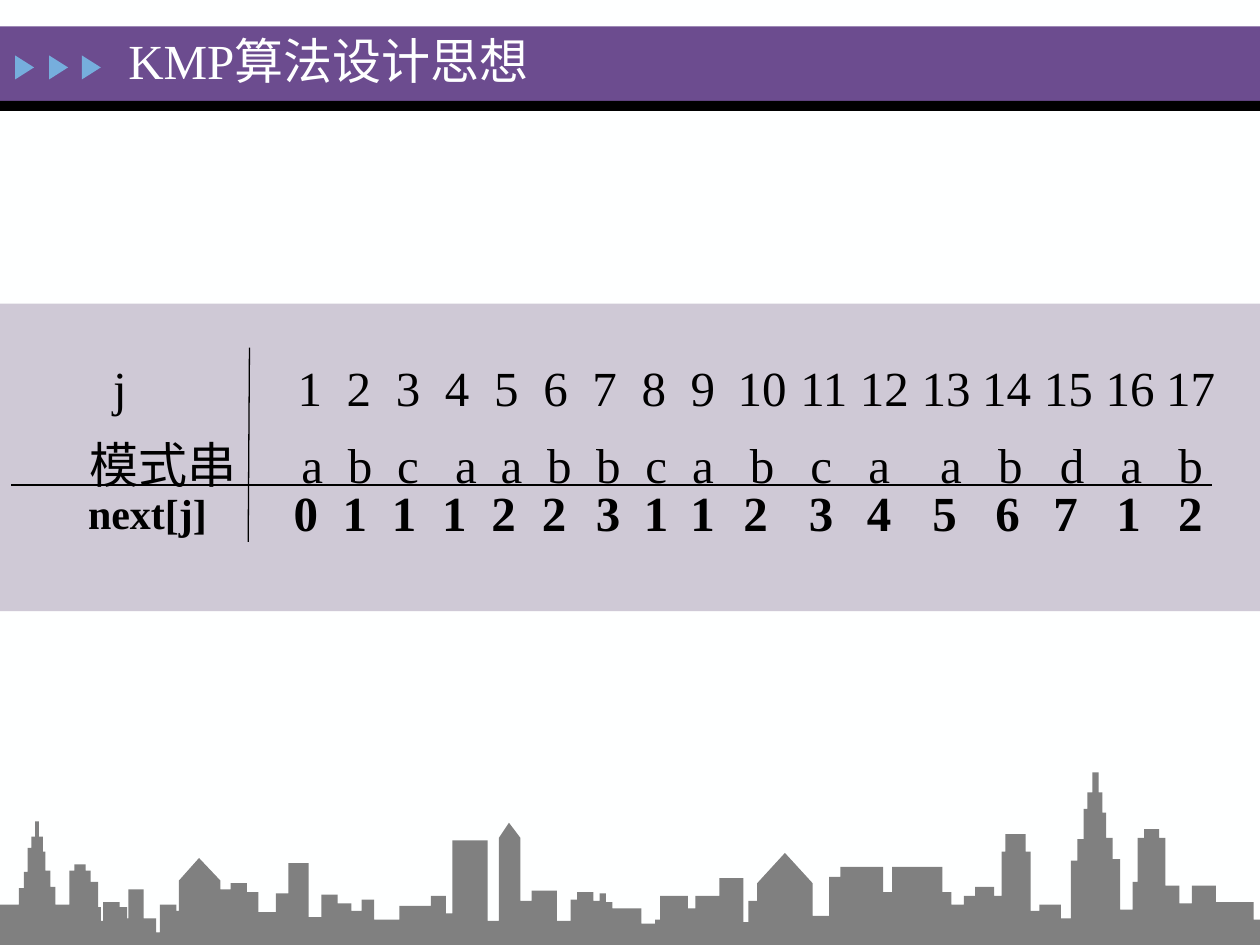
from pptx import Presentation
from pptx.dml.color import RGBColor
from pptx.enum.shapes import MSO_CONNECTOR, MSO_SHAPE
from pptx.enum.text import MSO_ANCHOR
from pptx.oxml.ns import qn
from pptx.util import Emu, Pt
from lxml.etree import SubElement

PX = 9144
WIDTH, HEIGHT = 1000, 750
INK, PAPER = "000000", "FEFFFF"
FACE = "Times New Roman"

INDEX_STOPS = [246 + 39 * i for i in range(9)] + [605 + round(48.6 * i) for i in range(8)]
PATTERN_STOPS = [248, 286, 324, 370, 406, 444, 483, 521, 558,
                 605, 652, 698, 755, 802, 851, 898, 945]
NEXT_LEFTS = [233, 272, 311, 351, 390, 430, 473, 511, 548,
              590, 642, 688, 740, 790, 836, 886, 935]

ROOFS = [
    (0, 718), (15, 705), (19, 692), (22, 673), (25, 664), (28, 652), (31, 664),
    (34, 676), (36, 691), (40, 704), (44, 718), (55, 691), (59, 686), (68, 691),
    (72, 700), (78, 720), (80, 731), (82, 716), (95, 720), (101, 729), (102, 706),
    (114, 729), (124, 740), (127, 718), (140, 723), (142, 699), (175, 706),
    (183, 701), (196, 708), (205, 724), (219, 709), (229, 685), (245, 728),
    (255, 710), (268, 717), (279, 723), (287, 714), (297, 730), (317, 719),
    (342, 711), (354, 725), (359, 667), (387, 731), (396, 665), (413, 715),
    (422, 707), (442, 731), (453, 714), (458, 708), (471, 715), (476, 709),
    (481, 716), (486, 721), (509, 733), (520, 730), (524, 711), (546, 721),
    (552, 711), (571, 697), (590, 732), (594, 715), (601, 701), (645, 727),
    (658, 696), (667, 688), (701, 708), (708, 688), (748, 708), (755, 718),
    (765, 711), (774, 704), (789, 711), (795, 676), (798, 662), (814, 676),
    (818, 723), (825, 718), (842, 729), (850, 683), (855, 666), (860, 642),
    (863, 629), (867, 613), (872, 629), (875, 645), (878, 665), (883, 682),
    (889, 722), (899, 700), (903, 665), (908, 658), (920, 665), (925, 703),
    (936, 717), (946, 703), (965, 716), (995, 730),
]
PEAKS = {142: 681, 396: 653, 601: 677}


def px(value):
    return Emu(round(value * PX))


def color(value):
    return RGBColor.from_string(value)


def apply(target, values):
    for name, value in values.items():
        setattr(target, name, value)


def paint(shape, fill):
    shape.shadow.inherit = False
    shape.fill.solid()
    shape.fill.fore_color.rgb = color(fill)
    shape.line.fill.background()
    return shape


def add_block(page, box, fill, kind=MSO_SHAPE.RECTANGLE):
    return paint(page.shapes.add_shape(kind, *map(px, box)), fill)


def add_span(para, text, size, ink=INK, bold=False):
    span = para.add_run()
    span.text = text
    apply(span.font, {"name": FACE, "size": Pt(size), "bold": bold})
    span.font.color.rgb = color(ink)


def add_frame(page, box, inset=True, **values):
    frame = page.shapes.add_textbox(*map(px, box)).text_frame
    apply(frame, {"word_wrap": True, **values})
    if not inset:
        sides = ("left", "top", "right", "bottom")
        apply(frame, {f"margin_{side}": 0 for side in sides})
    return frame


def add_rule(page, start, end):
    rule = page.shapes.add_connector(MSO_CONNECTOR.STRAIGHT, *map(px, start + end))
    rule.line.color.rgb = color(INK)
    rule.line.width = Pt(0.75)
    SubElement(rule.element.spPr, qn("a:effectLst"))


def add_header(page, box):
    left, top, width, height = box
    add_block(page, (left, top, width, height - 8), "6C4C8F")
    add_block(page, (left, top + height - 8, width, 8), INK)
    for offset in (10, 37, 63):
        arrow = add_block(page, (left + offset, top + 25, 19, 15), "76AEDD",
                          MSO_SHAPE.ISOSCELES_TRIANGLE)
        arrow.rotation = 90
    frame = add_frame(page, (left + 92, top - 2, 701, 57),
                      vertical_anchor=MSO_ANCHOR.MIDDLE)
    add_span(frame.paragraphs[0], "KMP算法设计思想", 28, PAPER)


def add_tabbed_line(para, label, entries, label_stop, stops, origin):
    tabs = SubElement(para._p.get_or_add_pPr(), qn("a:tabLst"))
    SubElement(tabs, qn("a:tab"), pos=str(px(label_stop - origin)), algn="l")
    for stop in stops:
        SubElement(tabs, qn("a:tab"), pos=str(px(stop - origin)), algn="ctr")
    para.line_spacing = 1.3
    add_span(para, "\t".join(["", label, *entries]), 28)


def add_next_row(page, left, top):
    label = add_frame(page, (left + 60, top - 1, 115, 50), word_wrap=False,
                      vertical_anchor=MSO_ANCHOR.BOTTOM)
    add_span(label.paragraphs[0], "next[j]", 24, bold=True)
    for offset, value in zip(NEXT_LEFTS, "01112231123456712"):
        cell = add_frame(page, (left + offset, top, 19, 47), inset=False,
                         word_wrap=False, vertical_anchor=MSO_ANCHOR.BOTTOM)
        add_span(cell.paragraphs[0], value, 28, bold=True)


def add_next_panel(page, box):
    left, top, width, height = box
    band = add_block(page, box, "51396B")
    tint = band.element.spPr.find(qn("a:solidFill"))[0]
    SubElement(tint, qn("a:alpha"), val="27000")
    frame = add_frame(page, (left + 2, top + 24, 992, 213))
    indexes = [str(number) for number in range(1, 18)]
    add_tabbed_line(frame.paragraphs[0], "j", indexes, 90, INDEX_STOPS, 12)
    add_tabbed_line(frame.add_paragraph(), "模式串", "abcaabbcabcaabdab",
                    71, PATTERN_STOPS, 12)
    add_next_row(page, left, top + 142)
    add_rule(page, (left + 9, top + 144), (left + 962, top + 144))
    add_rule(page, (left + 197, top + 189), (left + 198, top + 35))


def add_skyline(page, box):
    left, top, width, height = box
    ends = [start for start, _ in ROOFS[1:]] + [width]
    points = []
    for (start, roof), end in zip(ROOFS, ends):
        points.append((left + start, roof))
        if start in PEAKS:
            points.append((left + (start + end) // 2, PEAKS[start]))
        points.append((left + end, roof))
    bottom = top + height
    builder = page.shapes.build_freeform(left, bottom, scale=PX)
    builder.add_line_segments(points + [(left + width, bottom)], close=True)
    paint(builder.convert_to_shape(), "808080")


def main():
    deck = Presentation()
    apply(deck, {"slide_width": px(WIDTH), "slide_height": px(HEIGHT)})
    page = deck.slides.add_slide(deck.slide_layouts[6])
    page.background.fill.solid()
    page.background.fill.fore_color.rgb = color(PAPER)
    add_header(page, (0, 21, WIDTH, 67))
    add_next_panel(page, (0, 241, WIDTH, 244))
    add_skyline(page, (0, 613, WIDTH, 137))
    deck.save("out.pptx")


if __name__ == "__main__":
    main()
